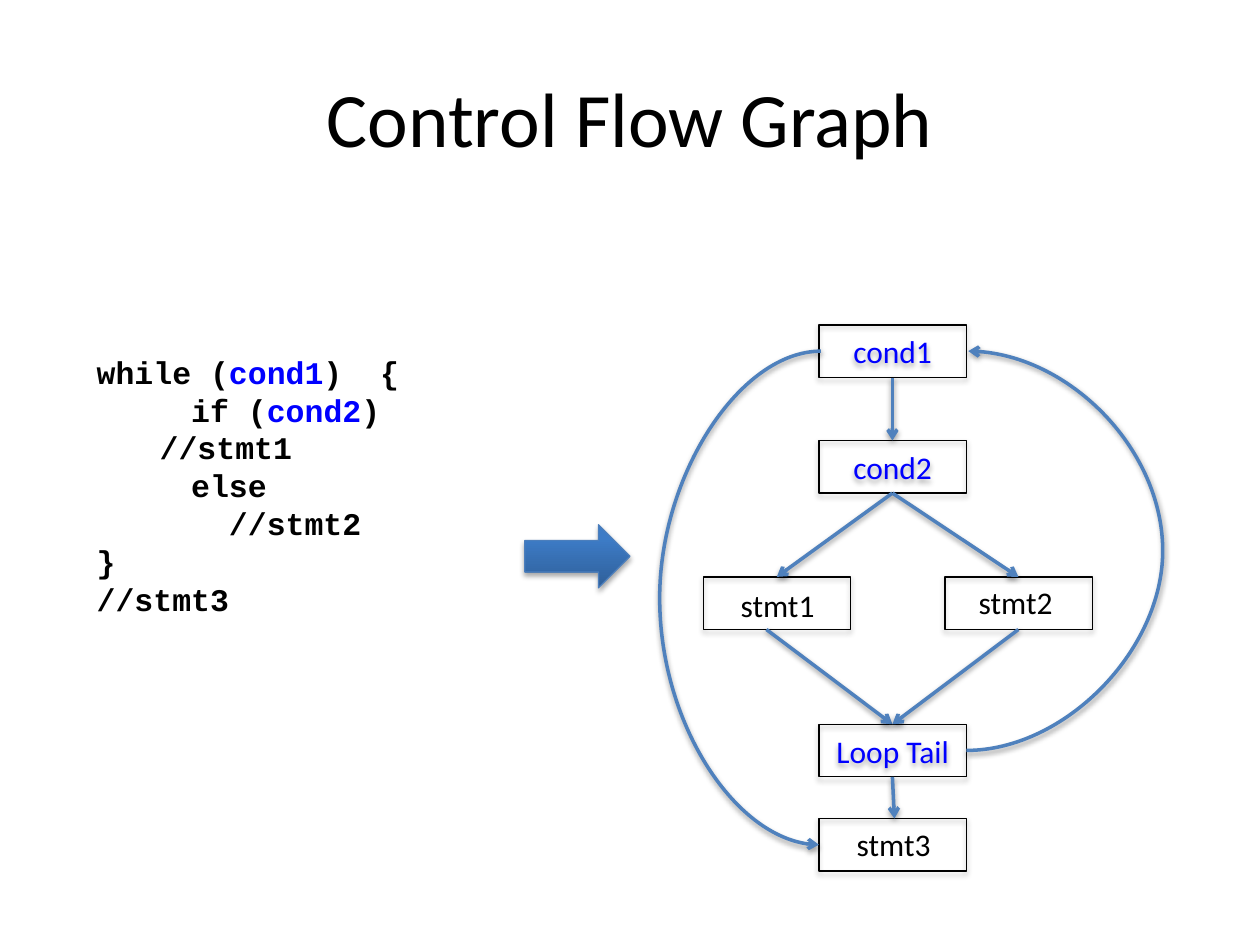
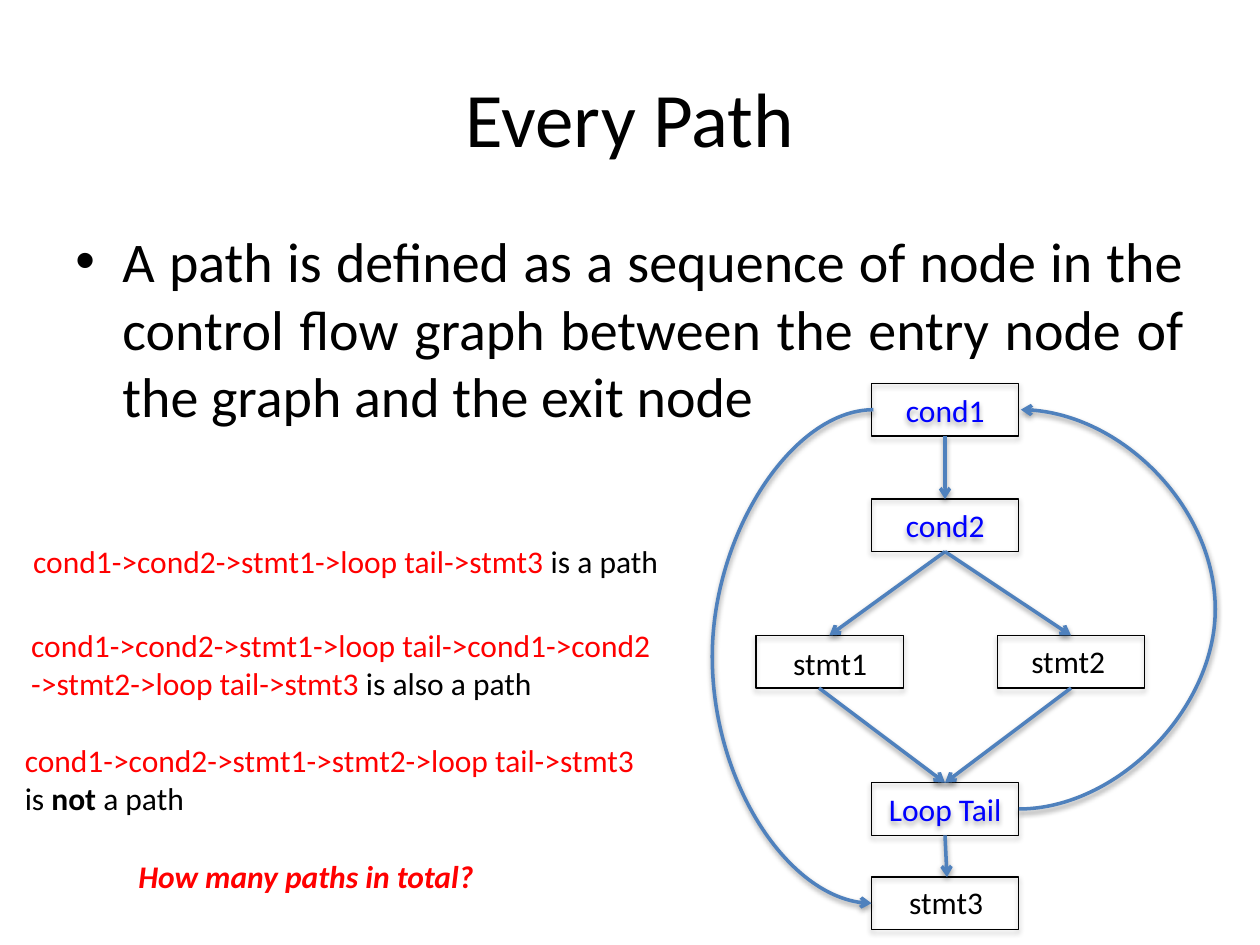
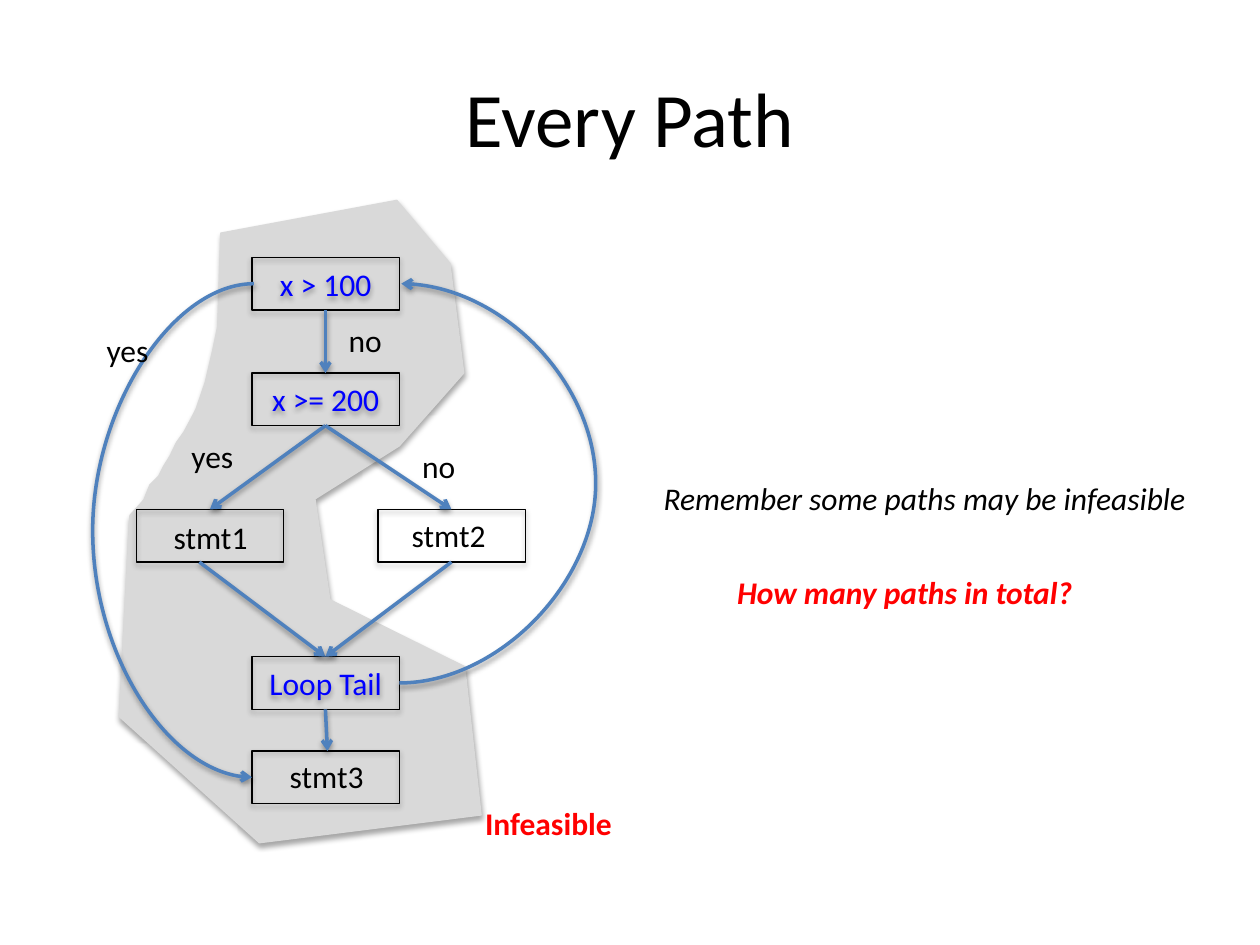
from lxml.etree import SubElement
from pptx import Presentation
from pptx.dml.color import RGBColor
from pptx.enum.shapes import MSO_CONNECTOR as CONN, MSO_SHAPE as SHAPE
from pptx.enum.text import MSO_ANCHOR as ANCHOR, MSO_AUTO_SIZE as AUTO, PP_ALIGN as ALIGN
from pptx.oxml.ns import qn
from pptx.util import Cm, Pt

COLORS = {
    "black": "000000", "blue": "0000FF", "red": "FF0000", "edge": "4F81BD",
    "region": "D9D9D9", "arrow_line": "4B7EBC", "arrow_dark": "2F5F99", "arrow_light": "3D7CC7",
}
RGB = {name: RGBColor.from_string(value) for name, value in COLORS.items()}

# Run formats: colour name and font attributes
BODY = {"name": "Calibri", "size": Pt(18)}
CODE = {"name": "Courier New", "size": Pt(18), "bold": True}
FORMATS = {
    "title": ("black", {**BODY, "size": Pt(44)}),
    "bullet": ("black", {**BODY, "size": Pt(32)}),
    "plain": ("black", BODY),
    "bold": ("black", {**BODY, "bold": True}),
    "italic": ("black", {**BODY, "italic": True}),
    "cond": ("blue", BODY),
    "path": ("red", BODY),
    "alert": ("red", {**BODY, "bold": True}),
    "question": ("red", {**BODY, "bold": True, "italic": True}),
    "code": ("black", CODE),
    "code_cond": ("blue", CODE),
}


def write(tf, paragraphs, align=ALIGN.LEFT):
    """Fill a text frame; each paragraph is a list of (text, format) runs."""
    for i, runs in enumerate(paragraphs):
        p = tf.add_paragraph() if i else tf.paragraphs[0]
        p.alignment = align
        for text, fmt in runs:
            r = p.add_run()
            r.text = text
            color, attrs = FORMATS[fmt]
            r.font.color.rgb = RGB[color]
            for key, value in attrs.items():
                setattr(r.font, key, value)


def outline(sp, color, width, alpha=35, dist=23000):
    """Set the line of a shape or connector and give it a soft shadow below."""
    sp.line.color.rgb = RGB[color]
    sp.line.width = Pt(width)
    effects = SubElement(sp.element.spPr, qn("a:effectLst"))
    shadow = SubElement(effects, qn("a:outerShdw"), blurRad="40000", dist=str(dist),
                        dir="5400000", rotWithShape="0")
    black = SubElement(shadow, qn("a:srgbClr"), val=COLORS["black"])
    SubElement(black, qn("a:alpha"), val=str(alpha * 1000))


# Flow graph, in cm from the top left corner of its first node
NODE_W, NODE_H, MID = 2.97, 1.06, 1.48
NODES = [(0, 0), (0, 2.33), (0, 8.05), (-2.33, 5.08), (2.54, 5.08), (0, 9.95)]
STMT_LABELS = [("stmt1", -1.83, 5.13), ("stmt2", 2.97, 5.08), ("stmt3", 0.51, 9.95)]
EDGES = [  # from, to, reach of the bend sideways (0 for a straight edge)
    (MID, 3.39, -0.85, 5.08, 0), (MID, 3.39, 4.02, 5.08, 0),
    (-1.06, 6.14, MID, 8.05, 0), (4.02, 6.14, MID, 8.05, 0),
    (MID, 1.06, MID, 2.33, 0), (MID, 9.11, 1.52, 9.95, 0),
    (2.97, 8.58, 3.01, 0.53, 3.96), (0.04, 0.53, 0, 10.48, 3.25),
]

# Outline of the infeasible path
REGION = [
    (4.45, 4.7), (4.39, 6.58), (4.29, 7.06), (4.14, 7.7), (3.96, 8.23), (3.86, 8.43),
    (3.71, 8.71), (3.56, 8.92), (3.43, 9.19), (3.3, 9.4), (3.2, 9.6), (3.02, 9.78),
    (2.9, 10.08), (2.62, 10.39), (2.41, 14.45), (5.23, 16.99), (9.7, 16.43), (9.37, 13.44),
    (6.65, 12.09), (6.35, 10.06), (8.05, 8.99), (9.35, 7.52), (9.07, 5.31), (8, 4.04),
]

# Text boxes: left, top, width, height, paragraphs
QUESTION = [[("How many paths in total?", "question")]]
CODE_LINES = [
    [("while (", "code"), ("cond1", "code_cond"), (")  {", "code")],
    [("     if (", "code"), ("cond2", "code_cond"), (")", "code")],
    [("\t//stmt1", "code")],
    [("     else", "code")],
    [("       //stmt2", "code")],
    [("}", "code")],
    [("//stmt3", "code")],
]
PATH_NOTES = [
    (0.42, 10.8, 13.28, 1.02, [[("cond1->cond2->stmt1->loop tail->stmt3 ", "path"),
                                ("is a path", "plain")]]),
    (0.38, 12.5, 13.16, 1.8, [[("cond1->cond2->stmt1->loop tail->cond1->cond2", "path")],
                              [("->stmt2->loop tail->stmt3 ", "path"),
                               ("is also a path", "plain")]]),
    (0.25, 14.81, 12.98, 1.8, [[("cond1->cond2->stmt1->stmt2->loop tail->stmt3", "path")],
                               [("is ", "plain"), ("not", "bold"), (" a path", "plain")]]),
    (2.54, 17.15, 7.52, 1.02, QUESTION),
]
BRANCH_NOTES = [
    (1.9, 6.55, 1.37, 1.02, [[("yes", "plain")]]),
    (6.78, 6.35, 1.19, 1.02, [[("no", "plain")]]),
    (3.61, 8.69, 1.37, 1.02, [[("yes", "plain")]]),
    (8.26, 8.89, 1.19, 1.02, [[("no", "plain")]]),
    (13.13, 9.53, 11.28, 1.02, [[("Remember some paths may be infeasible", "italic")]]),
    (9.53, 16.08, 3.12, 1.02, [[("Infeasible", "alert")]]),
    (14.61, 11.43, 7.52, 1.02, QUESTION),
]
DEFINITION = ("A path is defined as a sequence of node in the control flow graph "
              "between the entry node of the graph and the exit node")

# Slides: title, bullet, region, graph corner, conditions, text boxes
SLIDES = [
    ("Control Flow Graph", "", [], (16.51, 6.55), ("cond1", "cond2"),
     [(1.7, 6.99, 7.42, 5.64, CODE_LINES)]),
    ("Every Path", DEFINITION, [], (17.57, 7.73), ("cond1", "cond2"), PATH_NOTES),
    ("Every Path", "", REGION, (5.08, 5.19), ("x > 100", "x >= 200"), BRANCH_NOTES),
]

prs = Presentation()
prs.slide_width, prs.slide_height = Cm(25.4), Cm(19.05)

for title, bullet, region, (gx, gy), conds, notes in SLIDES:
    s = prs.slides.add_slide(prs.slide_layouts[6])

    # Shaded region behind everything
    if region:
        points = [(Cm(x), Cm(y)) for x, y in region]
        builder = s.shapes.build_freeform(*points[0])
        builder.add_line_segments(points[1:], close=True)
        sp = builder.convert_to_shape()
        sp.fill.solid()
        sp.fill.fore_color.rgb = RGB["region"]
        outline(sp, "region", 0.75)

    # Title
    tf = s.shapes.add_textbox(Cm(1.27), Cm(0.76), Cm(22.86), Cm(3.18)).text_frame
    tf.word_wrap = True
    tf.vertical_anchor = ANCHOR.MIDDLE
    write(tf, [[(title, "title")]], ALIGN.CENTER)

    # Bullet
    if bullet:
        tf = s.shapes.add_textbox(Cm(1.27), Cm(4.45), Cm(22.86), Cm(12.57)).text_frame
        tf.word_wrap = True
        pPr = tf.paragraphs[0]._p.get_or_add_pPr()
        pPr.set("marL", str(Cm(0.95)))
        pPr.set("indent", str(Cm(-0.95)))
        SubElement(pPr, qn("a:buFont"), typeface="Arial")
        SubElement(pPr, qn("a:buChar"), char="•")
        write(tf, [[(bullet, "bullet")]], ALIGN.JUSTIFY)

    # Graph nodes
    for (x, y), label in zip(NODES, [*conds, "Loop Tail", "", "", ""]):
        sp = s.shapes.add_shape(SHAPE.RECTANGLE, Cm(gx + x), Cm(gy + y), Cm(NODE_W), Cm(NODE_H))
        sp.fill.background()
        outline(sp, "black", 0.75)
        if label:
            sp.text_frame.vertical_anchor = ANCHOR.MIDDLE
            write(sp.text_frame, [[(label, "cond")]], ALIGN.CENTER)

    # Graph edges
    for x1, y1, x2, y2, reach in EDGES:
        kind = CONN.CURVE if reach else CONN.STRAIGHT
        sp = s.shapes.add_connector(kind, Cm(gx + x1), Cm(gy + y1), Cm(gx + x2), Cm(gy + y2))
        outline(sp, "edge", 2, alpha=38, dist=20000)
        SubElement(sp.line._get_or_add_ln(), qn("a:tailEnd"), type="arrow")
        if reach:
            bend = round(reach / abs(x2 - x1) * 100000)
            guides = sp.element.spPr.find(qn("a:prstGeom")).get_or_add_avLst()
            SubElement(guides, qn("a:gd"), name="adj1", fmla=f"val {bend}")

    # Statement labels and the slide's own text
    labels = [(gx + x, gy + y, 2.03, 1.02, [[(text, "plain")]]) for text, x, y in STMT_LABELS]
    for x, y, w, h, paragraphs in labels + notes:
        tf = s.shapes.add_textbox(Cm(x), Cm(y), Cm(w), Cm(h)).text_frame
        tf.word_wrap = paragraphs is CODE_LINES
        tf.auto_size = AUTO.SHAPE_TO_FIT_TEXT
        write(tf, paragraphs)

# Block arrow from the code to its graph
sp = prs.slides[0].shapes.add_shape(SHAPE.RIGHT_ARROW, Cm(10.58), Cm(10.58), Cm(2.12), Cm(1.27))
sp.fill.gradient()
sp.fill.gradient_angle = 90
for stop, color, position in zip(sp.fill.gradient_stops, ("arrow_dark", "arrow_light"), (0, 0.8)):
    stop.color.rgb = RGB[color]
    stop.position = position
outline(sp, "arrow_line", 0.75)

prs.save("out.pptx")
